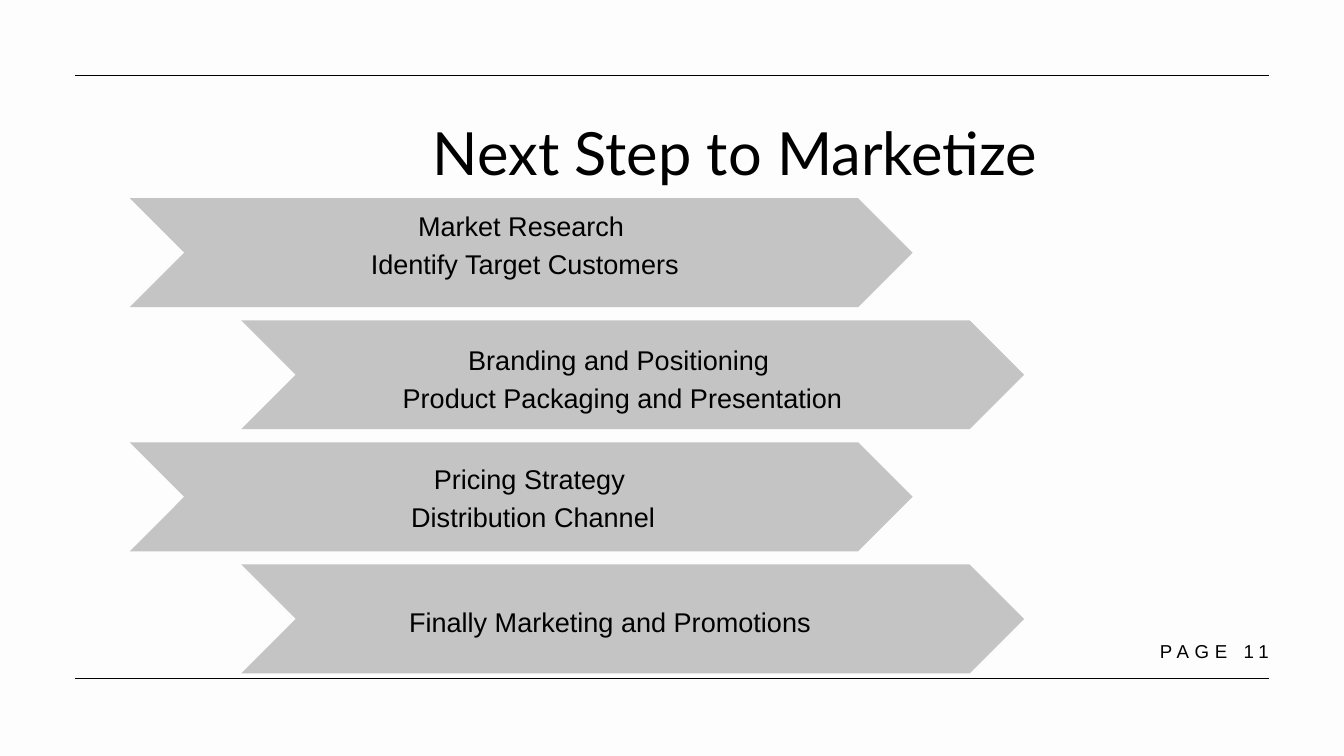
from dataclasses import dataclass

from lxml.etree import SubElement
from pptx import Presentation
from pptx.dml.color import RGBColor
from pptx.enum.shapes import MSO_CONNECTOR, MSO_SHAPE
from pptx.enum.text import MSO_ANCHOR, MSO_AUTO_SIZE, PP_ALIGN
from pptx.oxml.ns import qn
from pptx.slide import Slide
from pptx.text.text import TextFrame
from pptx.util import Pt

COLORS = {"background": "FDFDFD", "ink": "000000", "arrow": "C4C4C4"}

MARGIN = 80.64
RULE_RIGHT = 1359.36
RULE_TOPS = (80.64, 727.2)

ARROW_LEFTS = (139, 258.5)
ARROW_TOP = 212.4
ARROW_PITCH = 130.8
ARROW_WIDTH = 838.8
ARROW_HEIGHT = 116.64


@dataclass
class TextStyle:
    font: str
    size: float
    line_spacing: float
    alignment: PP_ALIGN = PP_ALIGN.CENTER
    tracking: float = 0


@dataclass
class Step:
    lines: list[str]
    left: float
    top: float
    width: float = ARROW_WIDTH


TITLE_STYLE = TextStyle("Lato", 63.8, 89.3)
STEP_STYLE = TextStyle("Arial", 29, 40.6)
PAGE_STYLE = TextStyle("Arial", 20, 28, PP_ALIGN.RIGHT, 6)

STEPS = [
    Step(["Market Research", " Identify Target Customers"], 139, 218.9),
    Step(["Branding and Positioning ", "Product Packaging and Presentation"], 247.7, 362.2),
    Step(["Pricing Strategy ", "Distribution Channel"], 151.9, 489.6),
    Step(["Finally Marketing and Promotions"], 424.8, 643, 457.9),
]


def color(name: str) -> RGBColor:
    return RGBColor.from_string(COLORS[name])


def write_text(frame: TextFrame, lines: list[str], style: TextStyle) -> None:
    frame.margin_left = frame.margin_right = frame.margin_top = frame.margin_bottom = 0
    frame.word_wrap = True
    frame.auto_size = MSO_AUTO_SIZE.NONE
    frame.vertical_anchor = MSO_ANCHOR.TOP
    for index, line in enumerate(lines):
        paragraph = frame.add_paragraph() if index else frame.paragraphs[0]
        paragraph.alignment = style.alignment
        paragraph.line_spacing = Pt(style.line_spacing)
        paragraph.font.name = style.font
        paragraph.font.size = Pt(style.size)
        paragraph.font.color.rgb = color("ink")
        run = paragraph.add_run()
        run.text = line
        if style.tracking:
            run._r.get_or_add_rPr().set("spc", str(round(style.tracking * 100)))


def add_text(slide: Slide, lines: list[str], style: TextStyle,
             left: float, top: float, width: float) -> None:
    height = style.line_spacing * len(lines)
    box = slide.shapes.add_textbox(Pt(left), Pt(top), Pt(width), Pt(height))
    write_text(box.text_frame, lines, style)


def add_rule(slide: Slide, top: float) -> None:
    rule = slide.shapes.add_connector(
        MSO_CONNECTOR.STRAIGHT, Pt(MARGIN), Pt(top), Pt(RULE_RIGHT), Pt(top))
    rule.line.color.rgb = color("ink")
    rule.line.width = Pt(1.5)
    SubElement(rule._element.spPr, qn("a:effectLst"))


def add_arrow(slide: Slide, index: int) -> None:
    arrow = slide.shapes.add_shape(
        MSO_SHAPE.CHEVRON, Pt(ARROW_LEFTS[index % 2]), Pt(ARROW_TOP + index * ARROW_PITCH),
        Pt(ARROW_WIDTH), Pt(ARROW_HEIGHT))
    arrow.shadow.inherit = False
    arrow.fill.solid()
    arrow.fill.fore_color.rgb = color("arrow")
    arrow.line.fill.background()


def main() -> None:
    presentation = Presentation()
    presentation.slide_width = Pt(1440)
    presentation.slide_height = Pt(810)
    slide = presentation.slides.add_slide(presentation.slide_layouts[5])
    slide.background.fill.solid()
    slide.background.fill.fore_color.rgb = color("background")

    title = slide.shapes.title
    title.left, title.top, title.width, title.height = Pt(216), Pt(111.6), Pt(1143.36), Pt(86.4)
    write_text(title.text_frame, ["Next Step to Marketize"], TITLE_STYLE)

    for top in RULE_TOPS:
        add_rule(slide, top)
    for index, step in enumerate(STEPS):
        add_arrow(slide, index)
        add_text(slide, step.lines, STEP_STYLE, step.left, step.top, step.width)
    add_text(slide, ["PAGE 11"], PAGE_STYLE, 1126.08, 681.84, 233.28)

    presentation.save("out.pptx")


if __name__ == "__main__":
    main()
